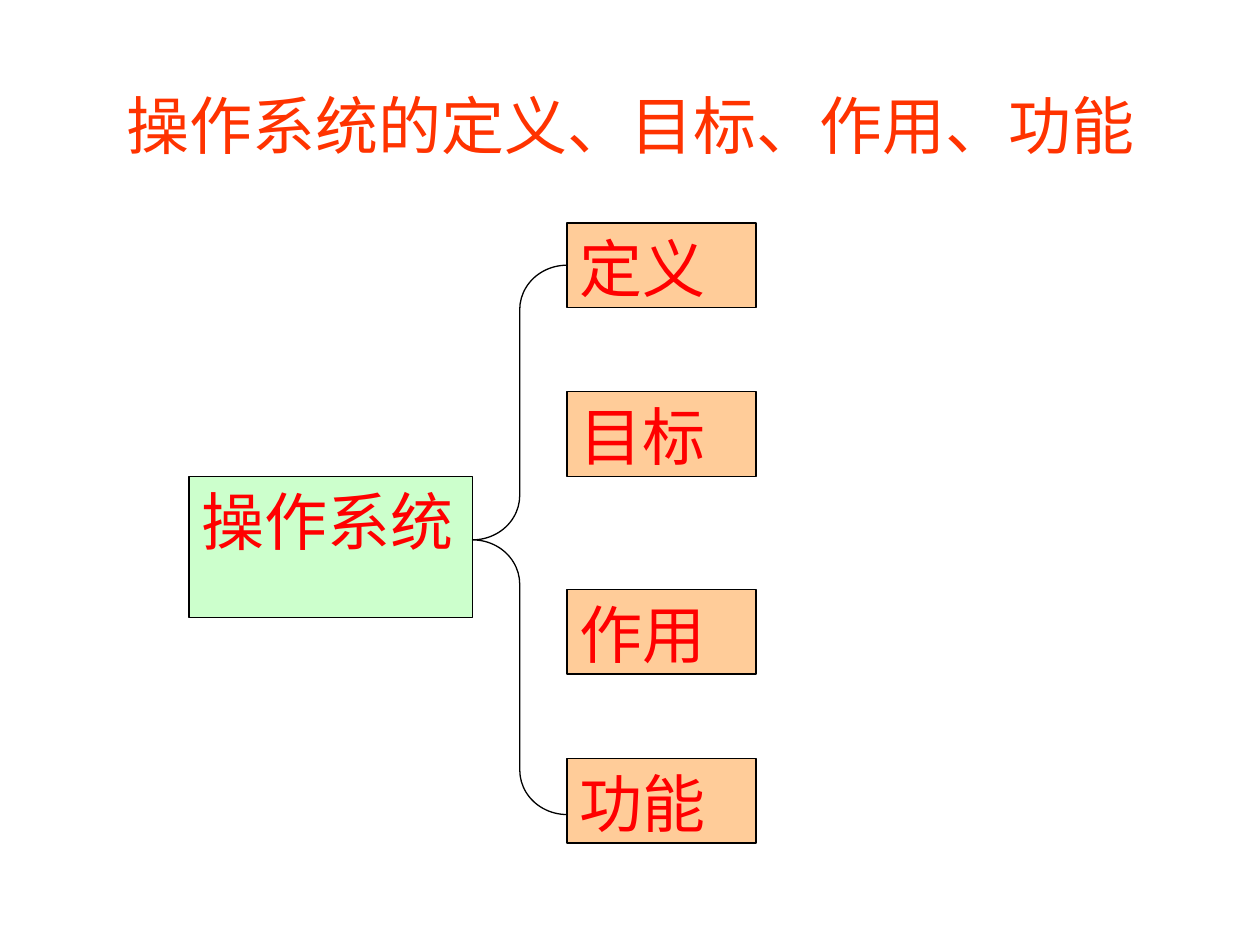
from dataclasses import dataclass

from pptx import Presentation
from pptx.dml.color import RGBColor
from pptx.enum.shapes import MSO_SHAPE
from pptx.enum.text import MSO_ANCHOR, PP_ALIGN
from pptx.util import Inches, Pt


@dataclass(frozen=True)
class Theme:
    font: str = "Times New Roman"
    size: Pt = Pt(36)
    line_width: Pt = Pt(0.75)
    title: RGBColor = RGBColor(0xFF, 0x33, 0x00)
    text: RGBColor = RGBColor(0xFF, 0x00, 0x00)
    line: RGBColor = RGBColor(0x00, 0x00, 0x00)
    root: RGBColor = RGBColor(0xCC, 0xFF, 0xCC)
    branch: RGBColor = RGBColor(0xFF, 0xCC, 0x99)


THEME = Theme()
BRANCHES = [("定义", 1.77), ("目标", 3.11), ("作用", 4.68), ("功能", 6.02)]
BRANCH_LEFT, BRANCH_WIDTH, BRANCH_HEIGHT = 4.5, 1.5, 0.67
ROOT_LEFT, ROOT_WIDTH = 1.5, 2.25


def write_text(shape, text, color, alignment, anchor):
    frame = shape.text_frame
    frame.word_wrap = True
    frame.vertical_anchor = anchor
    paragraph = frame.paragraphs[0]
    paragraph.text = text
    paragraph.alignment = alignment
    paragraph.font.name = THEME.font
    paragraph.font.size = THEME.size
    paragraph.font.color.rgb = color


def add_title(slide, text):
    title = slide.shapes.title
    title.left, title.top = Inches(0.75), Inches(0.36)
    title.width, title.height = Inches(8.5), Inches(1.25)
    write_text(title, text, THEME.title, PP_ALIGN.CENTER, MSO_ANCHOR.MIDDLE)


def add_outlined(slide, kind, left, top, width, height):
    shape = slide.shapes.add_shape(
        kind, Inches(left), Inches(top), Inches(width), Inches(height))
    shape.shadow.inherit = False
    shape.line.color.rgb = THEME.line
    shape.line.width = THEME.line_width
    return shape


def add_box(slide, text, fill, left, top, width, height):
    box = add_outlined(slide, MSO_SHAPE.RECTANGLE, left, top, width, height)
    box.fill.solid()
    box.fill.fore_color.rgb = fill
    write_text(box, text, THEME.text, PP_ALIGN.JUSTIFY, MSO_ANCHOR.TOP)


def add_brace(slide):
    left = ROOT_LEFT + ROOT_WIDTH
    first_top, last_top = BRANCHES[0][1], BRANCHES[-1][1]
    brace = add_outlined(slide, MSO_SHAPE.LEFT_BRACE, left,
                         first_top + BRANCH_HEIGHT / 2,
                         BRANCH_LEFT - left, last_top - first_top + 0.11)
    brace.height = Inches(last_top - first_top + 0.11)
    brace.fill.background()
    brace.adjustments[0] = 0.47
    brace.adjustments[1] = 0.5


def main():
    presentation = Presentation()
    presentation.slide_width = Inches(10)
    presentation.slide_height = Inches(7.5)
    slide = presentation.slides.add_slide(presentation.slide_layouts[5])
    add_title(slide, "操作系统的定义、目标、作用、功能")
    add_box(slide, "操作系统", THEME.root, ROOT_LEFT, 3.78, ROOT_WIDTH, 1.12)
    for text, top in BRANCHES:
        add_box(slide, text, THEME.branch,
                BRANCH_LEFT, top, BRANCH_WIDTH, BRANCH_HEIGHT)
    add_brace(slide)
    presentation.save("out.pptx")


if __name__ == "__main__":
    main()
